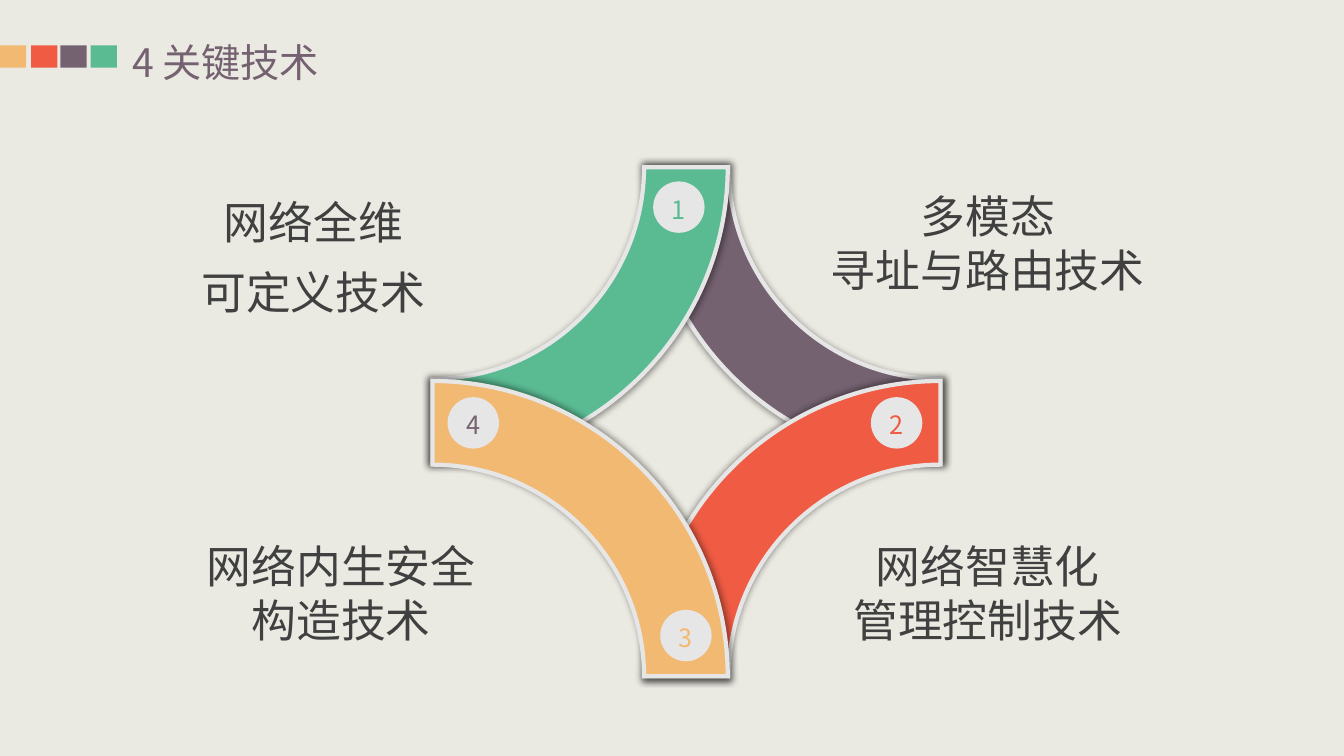
from lxml import etree
from pptx import Presentation
from pptx.dml.color import RGBColor
from pptx.enum.shapes import MSO_SHAPE
from pptx.enum.text import MSO_ANCHOR, PP_ALIGN
from pptx.oxml.ns import qn
from pptx.util import Pt

RECT, OVAL = MSO_SHAPE.RECTANGLE, MSO_SHAPE.OVAL
LEFT, MID = PP_ALIGN.LEFT, PP_ALIGN.CENTER
TOP, CORE = MSO_ANCHOR.TOP, MSO_ANCHOR.MIDDLE
PX = 9144  # 100 px to the inch
FONT = "Noto Sans CJK SC"
HUE = {"back": "EBEAE2", "gold": "F2B973", "red": "EF5B43", "plum": "756271",
       "green": "5ABB93", "pale": "E7E6E6", "ink": "404040"}


def paint(shape, hue):
    shape.shadow.inherit = False
    shape.fill.solid()
    shape.fill.fore_color.rgb = RGBColor.from_string(HUE[hue])
    shape.line.fill.background()


def write(shape, text, size=32, hue="ink", align=MID, anchor=TOP, pitch=None, inset=(10, 5, 5)):
    frame = shape.text_frame
    frame.word_wrap = True
    frame.vertical_anchor = anchor
    side, top, foot = inset
    frame.margin_left = frame.margin_right = side * PX
    frame.margin_top, frame.margin_bottom = top * PX, foot * PX
    frame.text = text
    for para in frame.paragraphs:
        para.alignment = align
        if pitch:
            para.line_spacing = Pt(pitch)
        for run in para.runs:
            run.font.size = Pt(size)
            run.font.name = FONT
            run.font.color.rgb = RGBColor.from_string(HUE[hue])
            east = etree.SubElement(run.font._element, qn("a:ea"))
            east.set("typeface", FONT)


deck = Presentation()
deck.slide_width, deck.slide_height = 4000 * PX // 3, 750 * PX
slide = deck.slides.add_slide(deck.slide_layouts[6])
slide.background.fill.solid()
slide.background.fill.fore_color.rgb = RGBColor.from_string(HUE["back"])
shapes = slide.shapes

# Header squares and title
for x, hue in [(31, "red"), (60, "plum"), (90, "green"), (0, "gold")]:
    paint(shapes.add_shape(RECT, x * PX, 45 * PX, 26 * PX, 22 * PX), hue)

# Four topics
topics = [
    (813, 529, 334, 118, 38.5, "网络智慧化\n管理控制技术"),
    (108, 172, 406, 143, 50, "网络全维\n可定义技术"),
    (813, 182, 334, 118, 38.5, "多模态\n寻址与路由技术"),
    (137, 529, 403, 118, 38.5, "网络内生安全\n构造技术"),
]
for x, y, w, h, pitch, text in topics:
    box = shapes.add_textbox(x * PX, y * PX, w * PX, h * PX)
    write(box, text, pitch=pitch)

# Quarter rings, each around a corner of the star
OUTER, INNER = 293, 210
BEND = 0.55  # handle length of a quarter circle, per radius
bands = [("plum", 933, 166, -1, 1), ("green", 429, 166, 1, 1),
         ("red", 933, 671, -1, -1), ("gold", 429, 671, 1, -1)]
rim = [(OUTER, 0), (OUTER, OUTER * BEND), (OUTER * BEND, OUTER), (0, OUTER),
       (0, INNER), (INNER * BEND, INNER), (INNER, INNER * BEND), (INNER, 0)]
for hue, cx, cy, dx, dy in bands:
    dots = [((cx + dx * x) * PX, (cy + dy * y) * PX) for x, y in rim]
    pen = shapes.build_freeform(*dots[0], scale=1.0)
    pen.add_line_segments(dots[1:], close=True)
    band = pen.convert_to_shape()
    paint(band, hue)
    band.line.color.rgb = RGBColor.from_string(HUE["pale"])
    band.line.width = Pt(3)
    props = band._element.spPr
    # Join each run of three points into one curve
    legs = list(props.iter(qn("a:lnTo")))
    for trio in (legs[:3], legs[4:7]):
        curve = etree.Element(qn("a:cubicBezTo"))
        trio[0].addprevious(curve)
        for leg in trio:
            curve.append(leg[0])
            leg.getparent().remove(leg)
    etree.SubElement(props.find(qn("a:ln")), qn("a:miter"), lim="800000")
    glow = etree.SubElement(props.find(qn("a:effectLst")), qn("a:outerShdw"),
                            blurRad=str(Pt(5)), dist="0", dir="0", sx="102000", sy="102000",
                            algn="ctr", rotWithShape="0")
    tint = etree.SubElement(glow, qn("a:srgbClr"), val="000000")
    etree.SubElement(tint, qn("a:alpha"), val="40000")

# Numbered discs
discs = [(648, 180, "green"), (864, 394, "red"), (655, 605, "gold"), (444, 394, "plum")]
for num, (x, y, hue) in enumerate(discs, 1):
    disc = shapes.add_shape(OVAL, x * PX, y * PX, 51 * PX, 51 * PX)
    paint(disc, "pale")
    write(disc, str(num), size=18, hue=hue, anchor=CORE, inset=(0, 4, 0))

# Title
title = shapes.add_textbox(131 * PX, 38 * PX, 399 * PX, 47 * PX)
write(title, "4 关键技术", size=28, hue="plum", align=LEFT, pitch=33.6, inset=(0, 0, 0))

deck.save("out.pptx")
